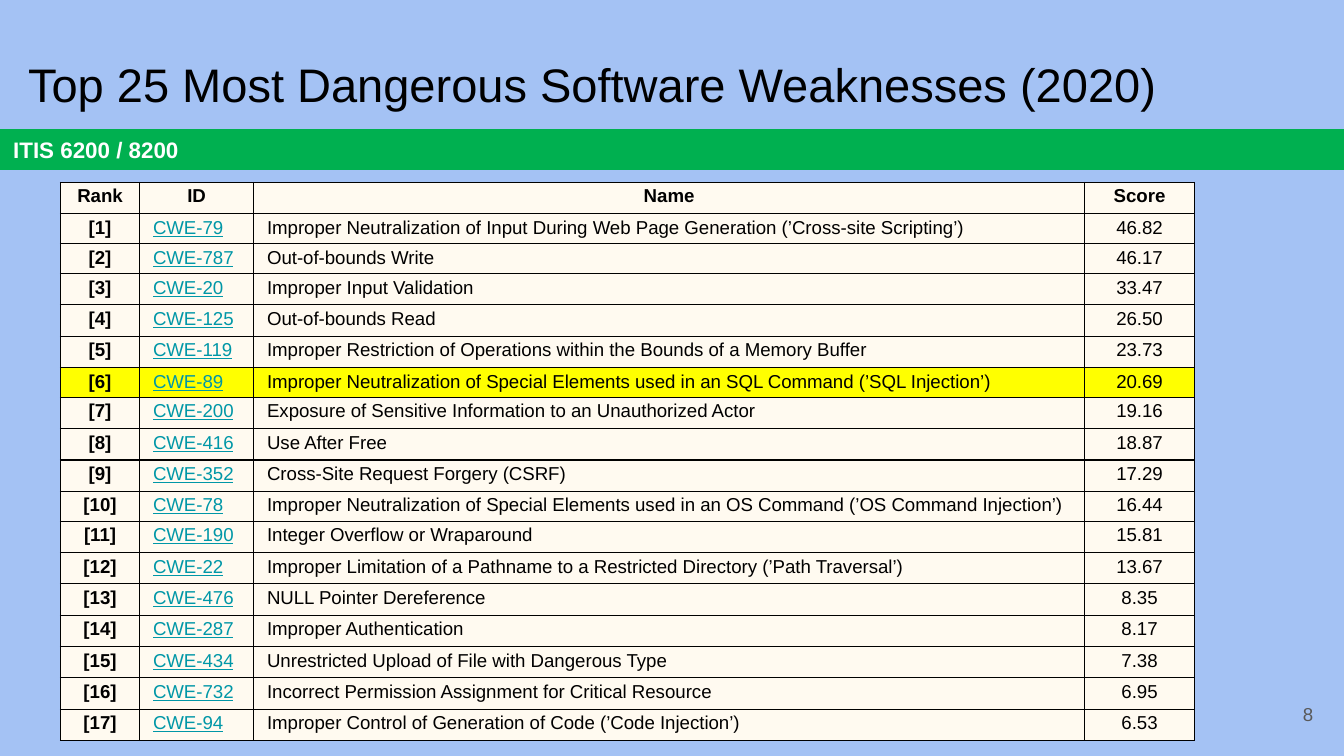
from dataclasses import dataclass
from typing import Any, NamedTuple

import pptx
import pptx.dml.color
import pptx.enum.shapes
import pptx.enum.text
import pptx.oxml
import pptx.oxml.ns
import pptx.util

Pt = pptx.util.Pt
RGBColor = pptx.dml.color.RGBColor
Align = pptx.enum.text.PP_ALIGN
Anchor = pptx.enum.text.MSO_ANCHOR


@dataclass(frozen=True)
class Theme:
    font: str = "Arial"
    background: str = "A4C2F4"
    band: str = "00B050"
    band_text: str = "FFFFFF"
    text: str = "000000"
    identifier: str = "0097A7"
    page_number: str = "595959"
    cell: str = "FFFAF0"
    highlight: str = "FFFF00"
    title_size: float = 25.2
    band_size: float = 12
    body_size: float = 10
    border_width: float = 0.75
    inset: float = 7.2
    cell_inset: float = 2


class Box(NamedTuple):
    left: float
    top: float
    width: float
    height: float

    def lengths(self) -> list[int]:
        return [Pt(value) for value in self]


class Style(NamedTuple):
    size: float
    color: str
    bold: bool = False
    underline: bool = False
    align: Any = Align.LEFT


class Column(NamedTuple):
    heading: str
    width: float
    style: Style


class Weakness(NamedTuple):
    identifier: str
    name: str
    score: str


THEME = Theme()
HEADING = Style(THEME.body_size, THEME.text, bold=True, align=Align.CENTER)
BODY = Style(THEME.body_size, THEME.text)

COLUMNS = [
    Column("Rank", 42.4, HEADING),
    Column("ID", 61.1, Style(THEME.body_size, THEME.identifier, underline=True)),
    Column("Name", 445.1, BODY),
    Column("Score", 59, BODY._replace(align=Align.CENTER)),
]

WEAKNESSES = [
    Weakness("CWE-79", "Improper Neutralization of Input During Web Page Generation (’Cross-site Scripting’)", "46.82"),
    Weakness("CWE-787", "Out-of-bounds Write", "46.17"),
    Weakness("CWE-20", "Improper Input Validation", "33.47"),
    Weakness("CWE-125", "Out-of-bounds Read", "26.50"),
    Weakness("CWE-119", "Improper Restriction of Operations within the Bounds of a Memory Buffer", "23.73"),
    Weakness("CWE-89", "Improper Neutralization of Special Elements used in an SQL Command (’SQL Injection’)", "20.69"),
    Weakness("CWE-200", "Exposure of Sensitive Information to an Unauthorized Actor", "19.16"),
    Weakness("CWE-416", "Use After Free", "18.87"),
    Weakness("CWE-352", "Cross-Site Request Forgery (CSRF)", "17.29"),
    Weakness("CWE-78", "Improper Neutralization of Special Elements used in an OS Command (’OS Command Injection’)", "16.44"),
    Weakness("CWE-190", "Integer Overflow or Wraparound", "15.81"),
    Weakness("CWE-22", "Improper Limitation of a Pathname to a Restricted Directory (’Path Traversal’)", "13.67"),
    Weakness("CWE-476", "NULL Pointer Dereference", "8.35"),
    Weakness("CWE-287", "Improper Authentication", "8.17"),
    Weakness("CWE-434", "Unrestricted Upload of File with Dangerous Type", "7.38"),
    Weakness("CWE-732", "Incorrect Permission Assignment for Critical Resource", "6.95"),
    Weakness("CWE-94", "Improper Control of Generation of Code (’Code Injection’)", "6.53"),
]
HIGHLIGHTED_RANK = 6
ROW_HEIGHT = 16.8
COMPACT_ROWS = {1: 15.5, 2: 15.5, 6: 15.9, 10: 15.9}


def write_text(text_frame: Any, text: str, style: Style) -> None:
    text_frame.text = text
    paragraph = text_frame.paragraphs[0]
    paragraph.alignment = style.align
    font = paragraph.runs[0].font
    font.name = THEME.font
    font.size = Pt(style.size)
    font.bold = style.bold
    font.underline = style.underline
    font.color.rgb = RGBColor.from_string(style.color)


def fill_frame(shape: Any, text: str, style: Style, anchor: Any) -> None:
    text_frame = shape.text_frame
    text_frame.word_wrap = True
    text_frame.vertical_anchor = anchor
    text_frame.margin_left = text_frame.margin_right = Pt(THEME.inset)
    text_frame.margin_top = text_frame.margin_bottom = Pt(THEME.inset)
    write_text(text_frame, text, style)


def add_band(slide: Any, box: Box, text: str, style: Style) -> None:
    shape = slide.shapes.add_shape(pptx.enum.shapes.MSO_SHAPE.RECTANGLE, *box.lengths())
    shape.shadow.inherit = False
    shape.fill.solid()
    shape.fill.fore_color.rgb = RGBColor.from_string(THEME.band)
    shape.line.fill.background()
    fill_frame(shape, text, style, Anchor.MIDDLE)


def add_text(slide: Any, box: Box, text: str, style: Style, anchor: Any) -> None:
    fill_frame(slide.shapes.add_textbox(*box.lengths()), text, style, anchor)


def add_borders(cell: Any) -> None:
    properties = cell._tc.get_or_add_tcPr()
    for side in ("lnL", "lnR", "lnT", "lnB"):
        properties.append(pptx.oxml.parse_xml(
            f'<a:{side} {pptx.oxml.ns.nsdecls("a")} w="{Pt(THEME.border_width)}">'
            f'<a:solidFill><a:srgbClr val="{THEME.text}"/></a:solidFill></a:{side}>'
        ))


def write_cell(cell: Any, text: str, style: Style, fill: str) -> None:
    cell.margin_left = cell.margin_right = Pt(THEME.inset)
    cell.margin_top = cell.margin_bottom = Pt(THEME.cell_inset)
    cell.vertical_anchor = Anchor.TOP
    add_borders(cell)
    cell.fill.solid()
    cell.fill.fore_color.rgb = RGBColor.from_string(fill)
    write_text(cell.text_frame, text, style)


def add_weakness_table(slide: Any, left: float, top: float) -> None:
    heights = [COMPACT_ROWS.get(rank, ROW_HEIGHT) for rank in range(len(WEAKNESSES) + 1)]
    box = Box(left, top, sum(column.width for column in COLUMNS), sum(heights))
    table = slide.shapes.add_table(len(heights), len(COLUMNS), *box.lengths()).table
    table.first_row = table.horz_banding = False
    for row, height in zip(table.rows, heights):
        row.height = Pt(height)
    for index, column in enumerate(COLUMNS):
        table.columns[index].width = Pt(column.width)
        write_cell(table.cell(0, index), column.heading, HEADING, THEME.cell)
    for rank, weakness in enumerate(WEAKNESSES, start=1):
        fill = THEME.highlight if rank == HIGHLIGHTED_RANK else THEME.cell
        for index, text in enumerate((f"[{rank}]", *weakness)):
            write_cell(table.cell(rank, index), text, COLUMNS[index].style, fill)


def main() -> None:
    presentation = pptx.Presentation()
    presentation.slide_width, presentation.slide_height = Pt(720), Pt(405)
    slide = presentation.slides.add_slide(presentation.slide_layouts[6])
    slide.background.fill.solid()
    slide.background.fill.fore_color.rgb = RGBColor.from_string(THEME.background)

    # Course band and title
    add_band(slide, Box(0, 69.2, 720, 21.8), "ITIS 6200 / 8200",
             Style(THEME.band_size, THEME.band_text, bold=True))
    add_text(slide, Box(8, 21.6, 679, 45.4), "Top 25 Most Dangerous Software Weaknesses (2020)",
             Style(THEME.title_size, THEME.text), Anchor.BOTTOM)

    # Page number
    add_text(slide, Box(667.4, 367.2, 43.2, 31), "8",
             Style(THEME.body_size, THEME.page_number, align=Align.RIGHT), Anchor.MIDDLE)

    # Ranking
    add_weakness_table(slide, 32.4, 97.7)
    presentation.save("out.pptx")


if __name__ == "__main__":
    main()
